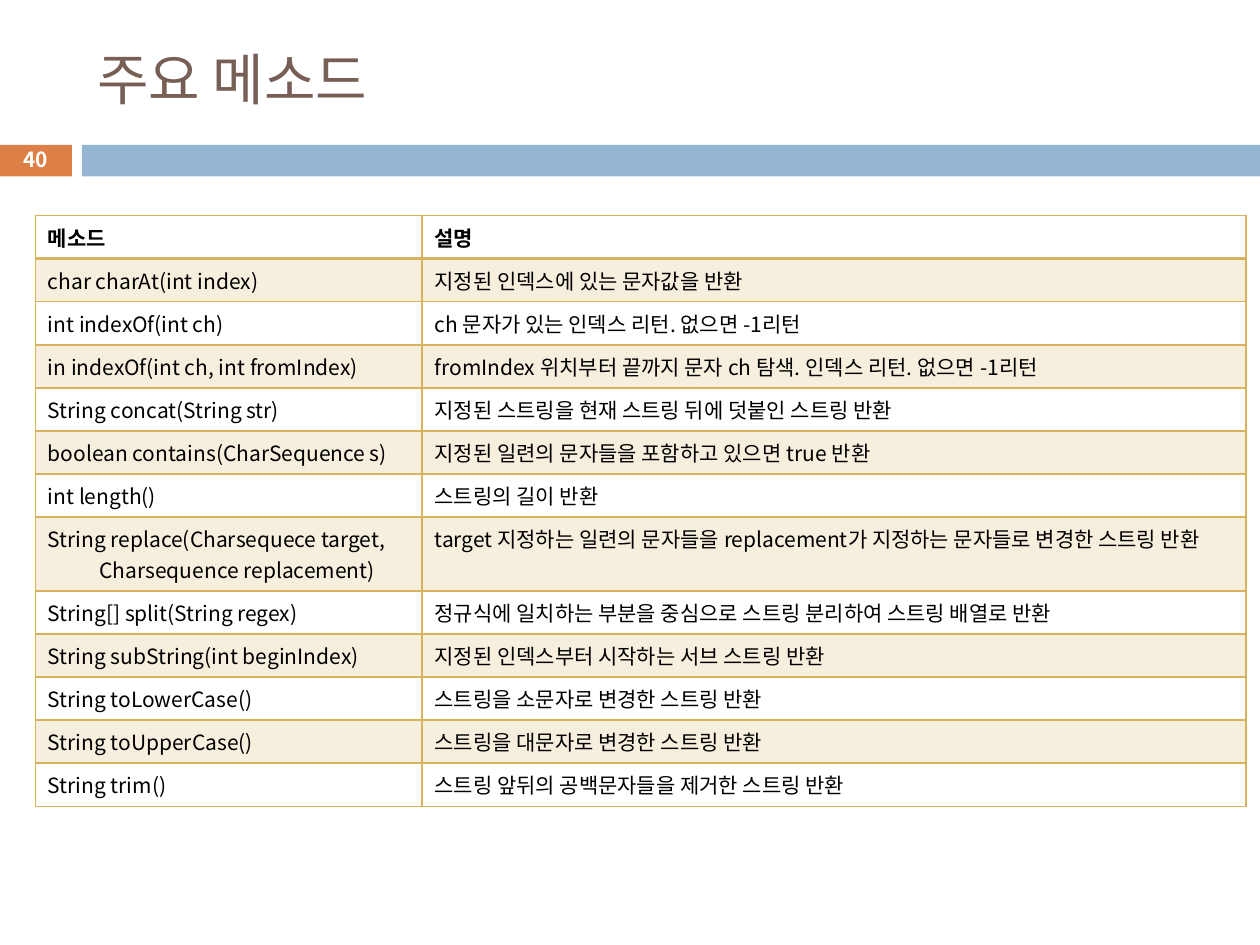
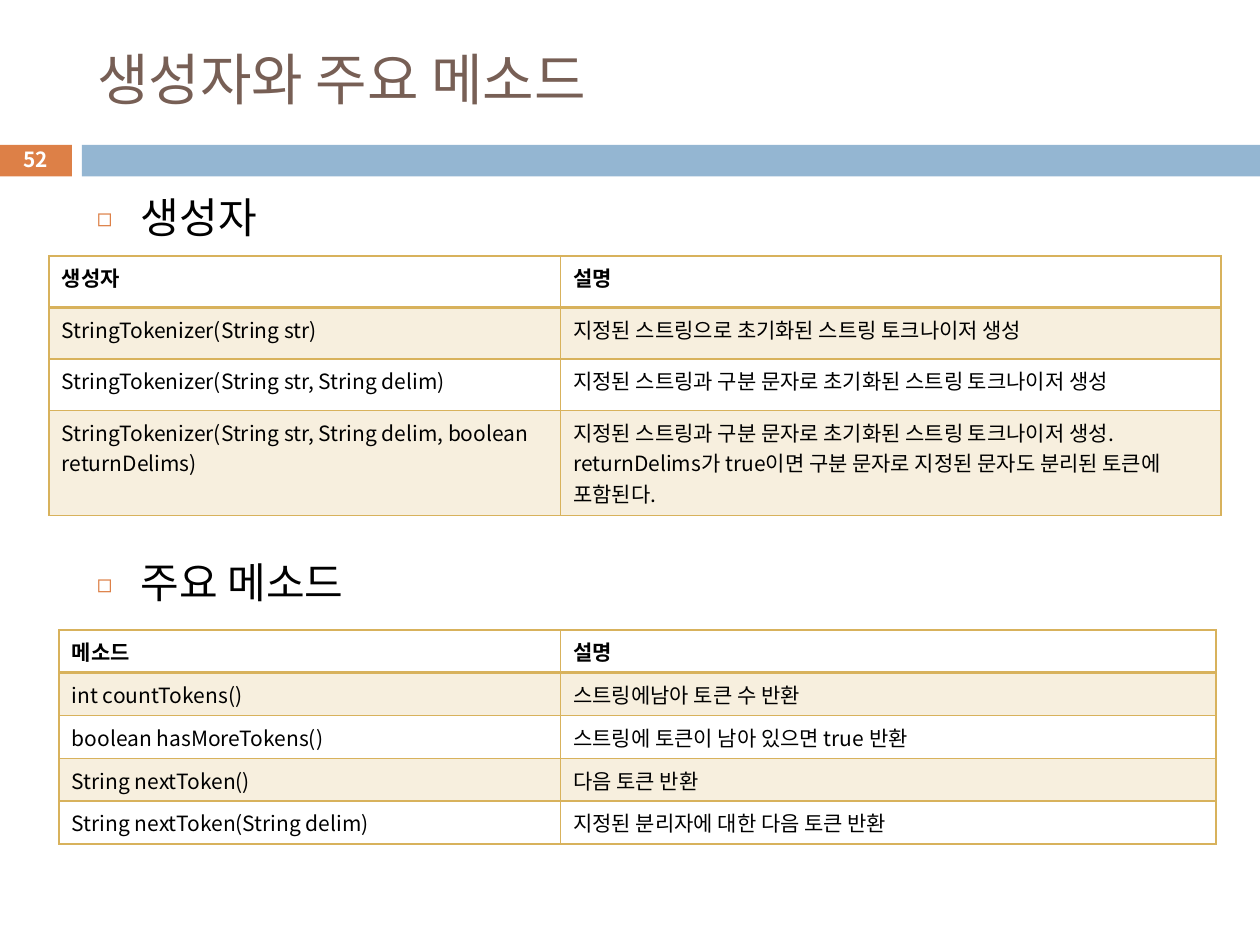
from dataclasses import dataclass

from lxml.etree import SubElement
from pptx import Presentation
from pptx.dml.color import RGBColor
from pptx.enum.shapes import MSO_SHAPE
from pptx.enum.text import MSO_ANCHOR, MSO_AUTO_SIZE, PP_ALIGN
from pptx.oxml import parse_xml
from pptx.oxml.ns import nsdecls, qn
from pptx.util import Inches, Pt


@dataclass(frozen=True)
class Theme:
    font: str = "Noto Sans CJK KR"
    title: str = "775F55"
    text: str = "000000"
    white: str = "FFFFFF"
    accent: str = "DD8047"
    band: str = "94B6D2"
    gold: str = "D8B25C"
    title_size: float = 32
    heading_size: float = 24
    cell_size: float = 12
    number_size: float = 11.9


THEME = Theme()
TITLE_ONLY = 5
ROW, TALL_ROW = 0.34, 0.41

STRING_METHODS = [
    ("메소드", "설명"),
    ("char charAt(int index)", "지정된 인덱스에 있는 문자값을 반환"),
    ("int indexOf(int ch)", "ch 문자가 있는 인덱스 리턴. 없으면 -1리턴"),
    ("in indexOf(int ch, int fromIndex)",
     "fromIndex 위치부터 끝까지 문자 ch 탐색. 인덱스 리턴. 없으면 -1리턴"),
    ("String concat(String str)", "지정된 스트링을 현재 스트링 뒤에 덧붙인 스트링 반환"),
    ("boolean contains(CharSequence s)", "지정된 일련의 문자들을 포함하고 있으면 true 반환"),
    ("int length()", "스트링의 길이 반환"),
    ("String replace(Charsequece target,\n           Charsequence replacement)",
     "target 지정하는 일련의 문자들을 replacement가 지정하는 문자들로 변경한 스트링 반환"),
    ("String[] split(String regex)",
     "정규식에 일치하는 부분을 중심으로 스트링 분리하여 스트링 배열로 반환"),
    ("String subString(int beginIndex)", "지정된 인덱스부터 시작하는 서브 스트링 반환"),
    ("String toLowerCase()", "스트링을 소문자로 변경한 스트링 반환"),
    ("String toUpperCase()", "스트링을 대문자로 변경한 스트링 반환"),
    ("String trim()", "스트링 앞뒤의 공백문자들을 제거한 스트링 반환"),
]
TOKENIZER_CONSTRUCTORS = [
    ("생성자", "설명"),
    ("StringTokenizer(String str)", "지정된 스트링으로 초기화된 스트링 토크나이저 생성"),
    ("StringTokenizer(String str, String delim)",
     "지정된 스트링과 구분 문자로 초기화된 스트링 토크나이저 생성"),
    ("StringTokenizer(String str, String delim, boolean returnDelims)",
     "지정된 스트링과 구분 문자로 초기화된 스트링 토크나이저 생성. "
     "returnDelims가 true이면 구분 문자로 지정된 문자도 분리된 토큰에 포함된다."),
]
TOKENIZER_METHODS = [
    ("메소드", "설명"),
    ("int countTokens()", "스트링에남아 토큰 수 반환"),
    ("boolean hasMoreTokens()", "스트링에 토큰이 남아 있으면 true 반환"),
    ("String nextToken()", "다음 토큰 반환"),
    ("String nextToken(String delim)", "지정된 분리자에 대한 다음 토큰 반환"),
]

# Each table: rows, (left, top), column widths, row height, heights of taller rows
SLIDES = [
    dict(title="주요 메소드", number=40, headings=[], tables=[
        (STRING_METHODS, (0.28, 1.71), (3.07, 6.54), ROW, {7: 0.58}),
    ]),
    dict(title="생성자와 주요 메소드", number=52, headings=["생성자", "주요 메소드"], tables=[
        (TOKENIZER_CONSTRUCTORS, (0.39, 2.03), (4.06, 5.24), TALL_ROW, {3: 0.83}),
        (TOKENIZER_METHODS, (0.47, 5), (3.98, 5.2), ROW, {}),
    ]),
]


def box(*lengths):
    return [Inches(length) for length in lengths]


def rgb(color):
    return RGBColor.from_string(color)


def write(frame, text, *, size, color=THEME.text, bold=False, align=PP_ALIGN.LEFT,
          anchor=MSO_ANCHOR.TOP, bullet=None, gap=0):
    """Fill a text frame, one paragraph a line, with gap points between them."""
    frame.word_wrap = True
    frame.vertical_anchor = anchor
    for index, line in enumerate(text.split("\n")):
        paragraph = frame.add_paragraph() if index else frame.paragraphs[0]
        if bullet:
            add_bullet(paragraph, bullet)
        paragraph.alignment = align
        paragraph.space_before = Pt(gap if index else 0)
        run = paragraph.add_run()
        run.text = line
        font = run.font
        font.name, font.size, font.bold = THEME.font, Pt(size), bold
        font.color.rgb = rgb(color)
        SubElement(run._r.get_or_add_rPr(), qn("a:ea"), typeface=THEME.font)


def add_bullet(paragraph, mark):
    properties = paragraph._p.get_or_add_pPr()
    indent = Inches(0.35)
    properties.set("marL", str(indent))
    properties.set("indent", str(-indent))
    color = SubElement(properties, qn("a:buClr"))
    SubElement(color, qn("a:srgbClr"), val=THEME.accent)
    SubElement(properties, qn("a:buSzPct"), val="60000")
    SubElement(properties, qn("a:buFont"), typeface=THEME.font)
    SubElement(properties, qn("a:buChar"), char=mark)


def add_band(slide, area, color):
    band = slide.shapes.add_shape(MSO_SHAPE.RECTANGLE, *box(*area))
    band.shadow.inherit = False
    band.fill.solid()
    band.fill.fore_color.rgb = rgb(color)
    band.line.fill.background()


def style_cell(cell, row):
    """Tint odd rows and rule every side, with a heavier line under the header."""
    properties = cell._tc.get_or_add_tcPr()
    if row % 2:
        cell.fill.solid()
        cell.fill.fore_color.rgb = rgb(THEME.gold)
        tint = properties.find(".//" + qn("a:srgbClr"))
        SubElement(tint, qn("a:alpha"), val="20000")
    else:
        cell.fill.background()
    heavy_side = {0: "B", 1: "T"}.get(row)
    for index, side in enumerate("LRTB"):
        width = Pt(2 if side == heavy_side else 1)
        properties.insert(index, parse_xml(
            f'<a:ln{side} {nsdecls("a")} w="{width}"><a:solidFill>'
            f'<a:srgbClr val="{THEME.gold}"/></a:solidFill></a:ln{side}>'))


def add_method_table(slide, rows, corner, widths, row_height, taller):
    heights = [taller.get(index, row_height) for index in range(len(rows))]
    area = box(*corner, sum(widths), sum(heights))
    table = slide.shapes.add_table(len(rows), len(widths), *area).table
    table.horz_banding = False
    for column, width in zip(table.columns, widths):
        column.width = Inches(width)
    for index, texts in enumerate(rows):
        table.rows[index].height = Inches(heights[index])
        for cell, text in zip(table.rows[index].cells, texts):
            write(cell.text_frame, text, size=THEME.cell_size, bold=index == 0)
            style_cell(cell, index)


def add_slide(deck, title, number, headings, tables):
    slide = deck.slides.add_slide(deck.slide_layouts[TITLE_ONLY])
    add_band(slide, (-0.01, 1.15, 0.58, 0.25), THEME.accent)
    add_band(slide, (0.65, 1.15, 9.35, 0.25), THEME.band)

    heading = slide.shapes.title
    heading.left, heading.top, heading.width, heading.height = box(0.67, 0.25, 8.92, 0.74)
    heading.text_frame.auto_size = MSO_AUTO_SIZE.NONE
    write(heading.text_frame, title, size=THEME.title_size, color=THEME.title,
          anchor=MSO_ANCHOR.MIDDLE)

    if headings:
        body = slide.shapes.add_textbox(*box(0.67, 1.47, 8.92, 5.51))
        write(body.text_frame, "\n".join(headings), size=THEME.heading_size,
              bullet="◻", gap=180)
    for table in tables:
        add_method_table(slide, *table)

    page = slide.shapes.add_textbox(*box(-0.01, 1.13, 0.58, 0.27))
    write(page.text_frame, str(number), size=THEME.number_size, color=THEME.white,
          bold=True, align=PP_ALIGN.CENTER, anchor=MSO_ANCHOR.MIDDLE)


def main():
    deck = Presentation()
    deck.slide_width, deck.slide_height = box(10, 7.5)
    for content in SLIDES:
        add_slide(deck, **content)
    deck.save("out.pptx")


if __name__ == "__main__":
    main()
